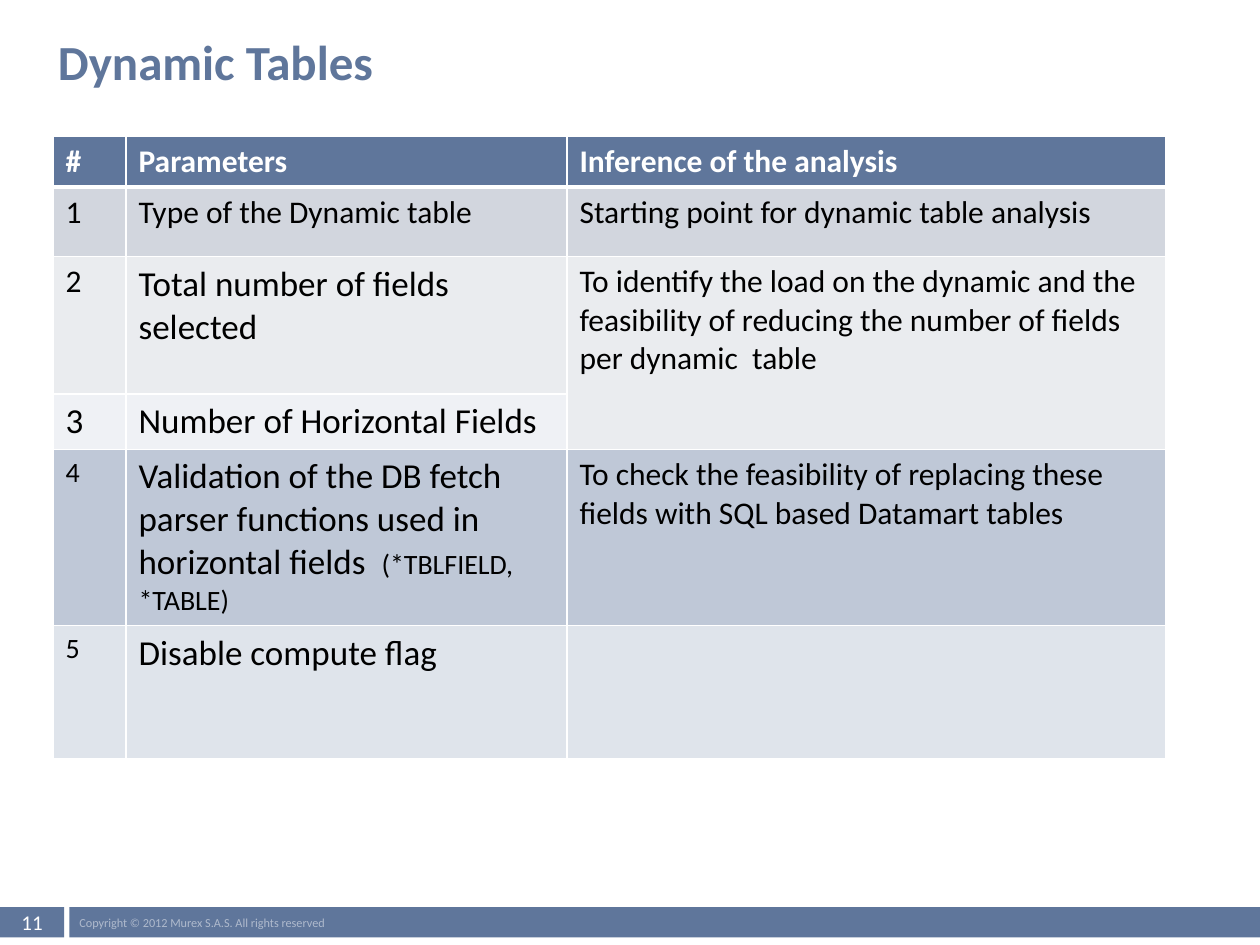
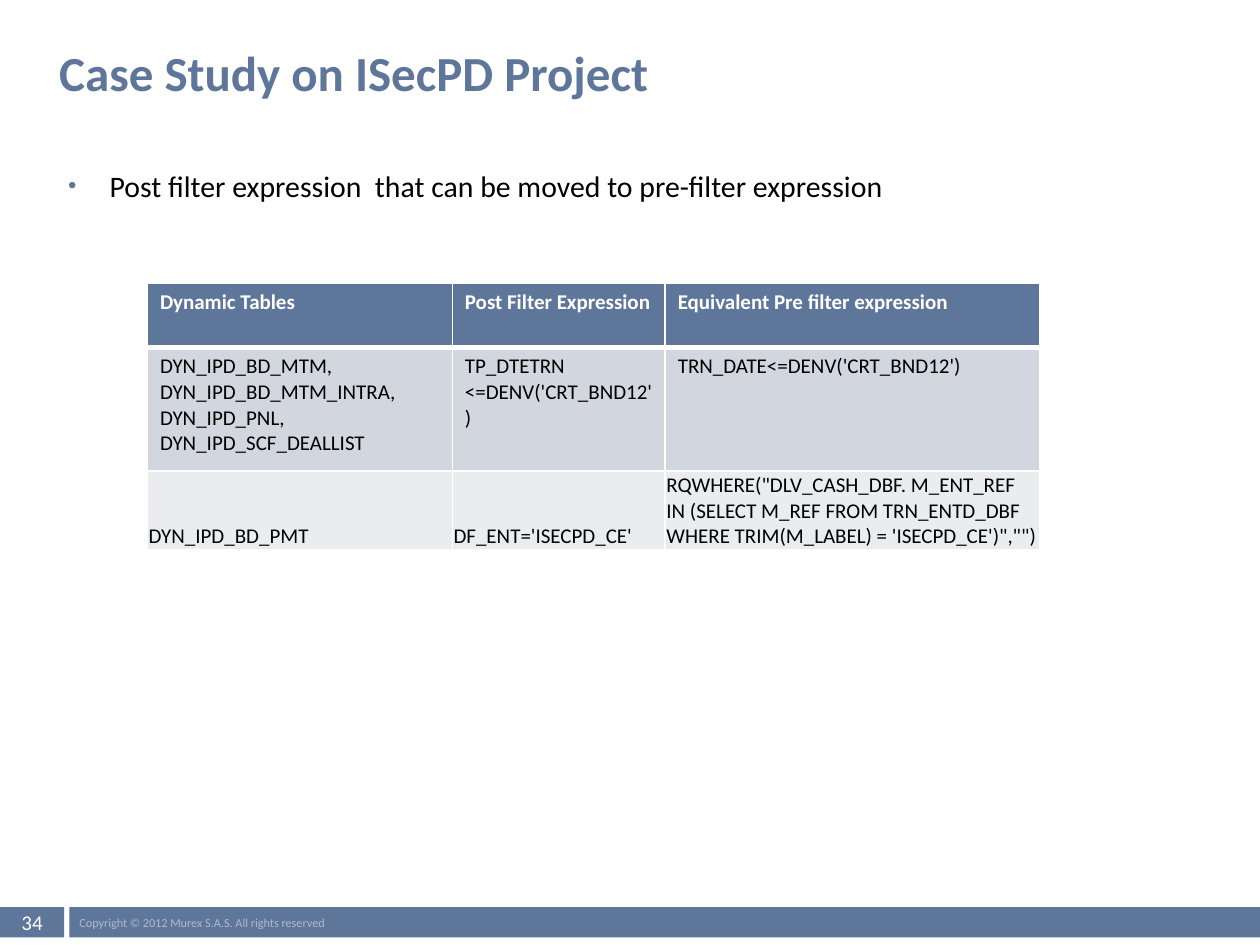
import pptx
import pptx.util
import pptx.dml.color
import pptx.enum.shapes
import pptx.enum.text
import pptx.oxml
import pptx.oxml.ns
from lxml import etree

Inches = pptx.util.Inches
Pt = pptx.util.Pt
RGBColor = pptx.dml.color.RGBColor
PP_ALIGN = pptx.enum.text.PP_ALIGN
MSO_ANCHOR = pptx.enum.text.MSO_ANCHOR
qn = pptx.oxml.ns.qn

FONT = "Calibri"
BLUE = RGBColor(0x5F, 0x76, 0x9B)
PALE_BLUE = RGBColor(0xAF, 0xBA, 0xCD)
WHITE = RGBColor(0xFF, 0xFF, 0xFF)
BLACK = RGBColor(0, 0, 0)
GREY = RGBColor(0xD2, 0xD6, 0xDE)
LIGHT_GREY = RGBColor(0xEA, 0xEC, 0xEF)
PALE_GREY = RGBColor(0xEF, 0xF1, 0xF5)
STEEL = RGBColor(0xBF, 0xC8, 0xD7)
LIGHT_STEEL = RGBColor(0xDF, 0xE4, 0xEB)

COPYRIGHT = "Copyright © 2012 Murex S.A.S. All rights reserved"

PARAMETERS = {
    "at": (0.42, 1.08),
    "cols": (0.58, 3.5, 4.75),
    "heights": (0.39, 0.55, 1.09, 0.44, 1.4, 1.06),
    "fills": (BLUE, GREY, LIGHT_GREY, PALE_GREY, STEEL, LIGHT_STEEL),
    "size": 18,
    "merge": ((2, 2), (3, 2)),
    "rows": [
        ["#", "Parameters", "Inference of the analysis"],
        ["1", "Type of the Dynamic table", "Starting point for dynamic table analysis"],
        ["2", [[("Total number of fields selected", 20)]],
         "To identify the load on the dynamic and the feasibility of reducing "
         "the number of fields per dynamic  table"],
        [[[("3", 20)]], [[("Number of Horizontal Fields", 20)]], ""],
        [[[("4", 16)]],
         [[("Validation of the DB fetch parser functions used in horizontal fields  ", 20),
           ("(*TBLFIELD, *TABLE)", 16)]],
         "To check the feasibility of replacing these fields with SQL based Datamart tables"],
        [[[("5", 16)]], [[("Disable compute flag", 20)]], ""],
    ],
}

FILTERS = {
    "at": (1.17, 2.25),
    "cols": (2.42, 1.69, 2.97),
    "heights": (0.51, 0.98, 0.62),
    "fills": (BLUE, GREY, LIGHT_GREY),
    "size": 12,
    "tight_row": 2,
    "rows": [
        ["Dynamic Tables", "Post Filter Expression", "Equivalent Pre filter expression"],
        [["DYN_IPD_BD_MTM,", "DYN_IPD_BD_MTM_INTRA,", "DYN_IPD_PNL,", "DYN_IPD_SCF_DEALLIST"],
         "TP_DTETRN <=DENV('CRT_BND12')", "TRN_DATE<=DENV('CRT_BND12')"],
        ["DYN_IPD_BD_PMT", "DF_ENT='ISECPD_CE'",
         "RQWHERE(\"DLV_CASH_DBF. M_ENT_REF IN (SELECT M_REF FROM TRN_ENTD_DBF "
         "WHERE TRIM(M_LABEL) = 'ISECPD_CE')\",\"\")"],
    ],
}

SLIDES = [
    {"number": "11", "title": "Dynamic Tables", "title_at": (0.42, 0.25, 8.15, 0.58),
     "table": PARAMETERS},
    {"number": "34", "title": "Case Study on ISecPD Project", "title_at": (0.43, 0.34, 7.01, 0.58),
     "bullet": "Post filter expression  that can be moved to pre-filter expression",
     "table": FILTERS},
]


def write(tf, text, size=18, color=BLACK, bold=False, align=PP_ALIGN.LEFT):
    paragraphs = [text] if isinstance(text, str) else text
    for i, runs in enumerate(paragraphs):
        p = tf.add_paragraph() if i else tf.paragraphs[0]
        p.alignment = align
        for words, points in [(runs, size)] if isinstance(runs, str) else runs:
            if not words:
                continue
            r = p.add_run()
            r.text = words
            r.font.name = FONT
            r.font.size = Pt(points)
            r.font.bold = bold
            r.font.color.rgb = color


def set_frame(tf, side, anchor):
    tf.word_wrap = True
    tf.auto_size = pptx.enum.text.MSO_AUTO_SIZE.NONE
    tf.vertical_anchor = anchor
    tf.margin_left = tf.margin_right = Inches(side)
    tf.margin_top = tf.margin_bottom = 0


def add_band(s, left, width, text, **style):
    sp = s.shapes.add_shape(pptx.enum.shapes.MSO_SHAPE.RECTANGLE,
                            Inches(left), Inches(7.2), Inches(width), Inches(0.24))
    sp.shadow.inherit = False
    sp.fill.solid()
    sp.fill.fore_color.rgb = BLUE
    sp.line.fill.background()
    set_frame(sp.text_frame, 0.08, MSO_ANCHOR.MIDDLE)
    write(sp.text_frame, text, **style)


def add_title(s, text, box):
    sp = s.shapes.title
    sp.left, sp.top, sp.width, sp.height = map(Inches, box)
    set_frame(sp.text_frame, 0.04, MSO_ANCHOR.TOP)
    write(sp.text_frame, text, size=28, color=BLUE, bold=True)


def add_bullet(s, text):
    sp = s.shapes.add_textbox(Inches(0.5), Inches(1.33), Inches(8.67), Inches(0.4))
    tf = sp.text_frame
    set_frame(tf, 0.04, MSO_ANCHOR.TOP)
    pPr = tf.paragraphs[0]._p.get_or_add_pPr()
    pPr.set("marL", str(Inches(0.33)))
    pPr.set("indent", str(-Inches(0.33)))
    color = etree.SubElement(pPr, qn("a:buClr"))
    etree.SubElement(color, qn("a:srgbClr"), val=str(BLUE))
    etree.SubElement(pPr, qn("a:buSzPct"), val="80000")
    etree.SubElement(pPr, qn("a:buFont"), typeface="Arial")
    etree.SubElement(pPr, qn("a:buChar"), char="•")
    write(tf, text, size=17)


def set_borders(cell, widths):
    tcPr = cell._tc.get_or_add_tcPr()
    for side, points in widths.items():
        ln = etree.SubElement(tcPr, qn("a:ln" + side), w=str(Pt(points)))
        fill = etree.SubElement(ln, qn("a:solidFill"))
        etree.SubElement(fill, qn("a:srgbClr"), val=str(WHITE))


def add_table(s, spec_):
    rows, cols, heights = spec_["rows"], spec_["cols"], spec_["heights"]
    left, top = spec_["at"]
    table = s.shapes.add_table(len(rows), len(cols), Inches(left), Inches(top),
                               Inches(sum(cols)), Inches(sum(heights))).table
    table.horz_banding = False
    for column, width in zip(table.columns, cols):
        column.width = Inches(width)
    for row, height in zip(table.rows, heights):
        row.height = Inches(height)
    for i, row in enumerate(rows):
        header = i == 0
        for j, text in enumerate(row):
            cell = table.cell(i, j)
            set_borders(cell, {"L": 1, "R": 1, "T": 3 if i == 1 else 1, "B": 3 if header else 1})
            cell.fill.solid()
            cell.fill.fore_color.rgb = spec_["fills"][i]
            if i == spec_.get("tight_row"):
                cell.vertical_anchor = MSO_ANCHOR.BOTTOM
                cell.margin_left = cell.margin_right = cell.margin_top = Inches(0.01)
                cell.margin_bottom = 0
            write(cell.text_frame, text, size=spec_["size"],
                  color=WHITE if header else BLACK, bold=header)
    if "merge" in spec_:
        first, last = spec_["merge"]
        table.cell(*first).merge(table.cell(*last))


def main():
    prs = pptx.Presentation()
    prs.slide_width, prs.slide_height = Inches(10), Inches(7.5)
    for content in SLIDES:
        s = prs.slides.add_slide(prs.slide_layouts[5])
        add_band(s, 0.55, 9.45, COPYRIGHT, size=7, color=PALE_BLUE)
        add_band(s, 0, 0.51, content["number"], size=12, color=WHITE, align=PP_ALIGN.CENTER)
        add_title(s, content["title"], content["title_at"])
        if "bullet" in content:
            add_bullet(s, content["bullet"])
        add_table(s, content["table"])
    prs.save("out.pptx")


if __name__ == "__main__":
    main()
